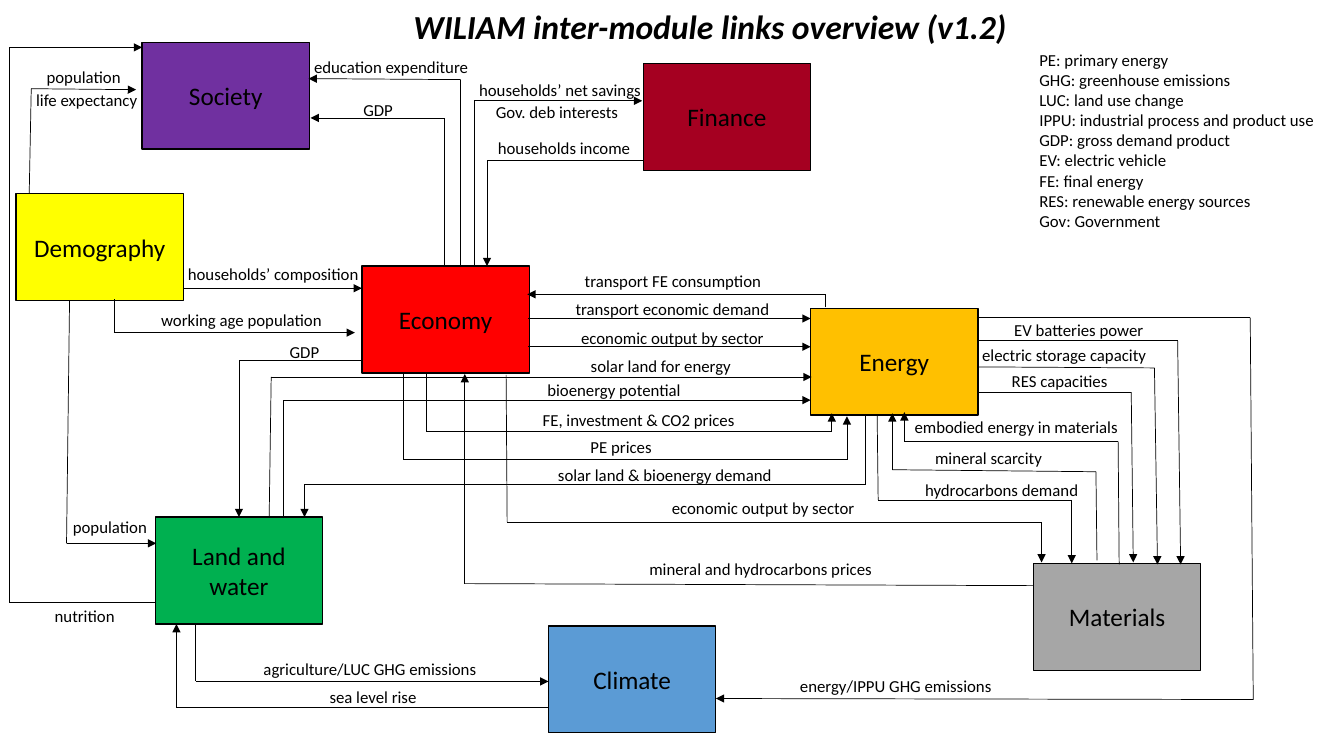
"""Build the WILIAM inter-module links overview slide."""
from dataclasses import dataclass
from itertools import pairwise

from lxml import etree
from pptx import Presentation
from pptx.dml.color import RGBColor
from pptx.enum.shapes import MSO_CONNECTOR, MSO_SHAPE
from pptx.enum.text import MSO_ANCHOR, MSO_AUTO_SIZE, PP_ALIGN
from pptx.oxml.ns import qn
from pptx.util import Inches, Pt

STRAIGHT, RECTANGLE = MSO_CONNECTOR.STRAIGHT, MSO_SHAPE.RECTANGLE
LEFT, CENTER = PP_ALIGN.LEFT, PP_ALIGN.CENTER
TOP, MIDDLE = MSO_ANCHOR.TOP, MSO_ANCHOR.MIDDLE
FIXED = MSO_AUTO_SIZE.NONE

FONT = "Calibri"
MODULE_WIDTH, MODULE_HEIGHT, LABEL_HEIGHT = 1.66, 1.06, 0.3
COLORS = {
    "ink": "000000", "yellow": "FFFF00", "red": "FF0000", "crimson": "A50021",
    "amber": "FFC000", "gray": "A6A6A6", "blue": "5B9BD5", "green": "00B050",
    "purple": "7030A0",
}


@dataclass(frozen=True)
class Module:
    """A coloured module box."""
    name: str
    left: float
    top: float
    color: str


@dataclass(frozen=True)
class Label:
    """A one-line caption beside a link."""
    text: str
    left: float
    top: float
    width: float


@dataclass(frozen=True)
class Link:
    """A route of straight segments ending in an arrowhead, with captions."""
    points: tuple[tuple[float, float], ...]
    labels: tuple[Label, ...]


def link(points: list[tuple[float, float]], *labels: tuple[str, float, float, float]) -> Link:
    """Make a link from its corner points and caption values."""
    return Link(tuple(points), tuple(Label(*label) for label in labels))


MODULES = [
    Module("Demography", 0.16, 1.92, "yellow"),
    Module("Economy", 3.59, 2.64, "red"),
    Module("Finance", 6.38, 0.63, "crimson"),
    Module("Energy", 8.04, 3.06, "amber"),
    Module("Materials", 10.25, 5.59, "gray"),
    Module("Climate", 5.44, 6.21, "blue"),
    Module("Land and water", 1.54, 5.13, "green"),
    Module("Society", 1.41, 0.42, "purple"),
]

DEMOGRAPHY_LINKS = [
    link([(0.29, 1.92), (0.31, 0.88), (1.35, 0.89)],
         ("population", 0.36, 0.61, 0.94), ("life expectancy", 0.25, 0.84, 1.22)),
    link([(1.82, 2.86), (3.59, 2.86)], ("households’ composition", 1.75, 2.57, 1.92)),
    link([(1.13, 2.97), (1.13, 3.3), (3.52, 3.3)], ("working age population", 1.49, 3.02, 1.81)),
    link([(0.69, 2.98), (0.66, 5.39), (1.55, 5.39)], ("population", 0.62, 5.08, 0.94)),
]
ECONOMY_LINKS = [
    link([(4.57, 2.64), (4.57, 0.79), (3.06, 0.78)], ("education expenditure", 2.81, 0.51, 2.14)),
    link([(4.41, 2.64), (4.41, 1.17), (3.08, 1.17)], ("GDP", 3.5, 0.94, 0.5)),
    link([(4.7, 2.64), (4.7, 1), (6.37, 1)],
         ("households’ net savings", 4.64, 0.74, 1.83), ("Gov. deb interests", 4.81, 0.96, 1.43)),
    link([(3.59, 3.58), (2.37, 3.58), (2.37, 5.13)], ("GDP", 2.77, 3.34, 0.5)),
    link([(5.24, 3.16), (8.04, 3.16)], ("transport economic demand", 5.59, 2.91, 2.16)),
    link([(5.24, 3.44), (8.04, 3.44)], ("economic output by sector", 5.65, 3.2, 2.04)),
    link([(4.23, 3.7), (4.23, 4.28), (8.25, 4.28), (8.25, 4.1)],
         ("FE, investment & CO2 prices", 5.27, 4.02, 2.13)),
    link([(4, 3.7), (4, 4.56), (8.4, 4.56), (8.4, 4.13)], ("PE prices", 5.75, 4.28, 0.82)),
    link([(5.02, 3.72), (5.03, 5.18), (10.33, 5.18), (10.33, 5.58)],
         ("economic output by sector", 6.55, 4.89, 2.04)),
]
ENERGY_LINKS = [
    link([(8.19, 3.05), (8.19, 2.92), (5.23, 2.92)], ("transport FE consumption", 5.69, 2.64, 1.97)),
    link([(8.58, 4.13), (8.58, 4.81), (3.02, 4.81), (3.02, 5.13)],
         ("solar land & bioenergy demand", 5.42, 4.56, 2.35)),
    link([(9.69, 3.15), (12.4, 3.15), (12.43, 6.94), (7.1, 6.93)],
         ("energy/IPPU GHG emissions", 7.78, 6.65, 2.21)),
    link([(9.7, 3.38), (11.68, 3.38), (11.71, 5.6)], ("EV batteries power", 9.95, 3.12, 1.5)),
    link([(9.7, 3.64), (11.45, 3.65), (11.48, 5.6)],
         ("electric storage capacity", 9.63, 3.37, 1.85)),
    link([(9.7, 3.89), (11.22, 3.89), (11.24, 5.58)], ("RES capacities", 9.93, 3.63, 1.16)),
    link([(8.7, 4.11), (8.71, 4.96), (10.63, 4.96), (10.63, 5.59)],
         ("hydrocarbons demand", 9.07, 4.71, 1.73)),
]
MATERIALS_LINKS = [
    link([(10.88, 5.56), (10.87, 4.68), (8.85, 4.66), (8.85, 4.1)],
         ("mineral scarcity", 9.17, 4.39, 1.27)),
    link([(11.1, 5.6), (11.09, 4.38), (8.97, 4.38), (8.97, 4.09)],
         ("embodied energy in materials", 8.96, 4.09, 2.24)),
    link([(10.25, 5.81), (4.61, 5.79), (4.61, 3.71)],
         ("mineral and hydrocarbons prices", 6.33, 5.49, 2.43)),
]
LAND_LINKS = [
    link([(2.67, 5.13), (2.69, 3.74), (8.05, 3.74)], ("solar land for energy", 5.75, 3.48, 1.61)),
    link([(2.81, 5.12), (2.81, 3.97), (8.04, 3.97)], ("bioenergy potential", 5.32, 3.72, 1.54)),
    link([(1.94, 6.2), (1.94, 6.76), (5.44, 6.76)],
         ("agriculture/LUC GHG emissions", 2.5, 6.49, 2.34)),
    link([(1.55, 5.98), (0.09, 5.98), (0.09, 0.47), (1.41, 0.47)], ("nutrition", 0.44, 5.96, 0.8)),
]
OTHER_LINKS = [
    link([(6.38, 1.59), (4.83, 1.59), (4.83, 2.64)], ("households income", 4.83, 1.32, 1.53)),
    link([(5.44, 7.02), (1.75, 7.02), (1.75, 6.19)], ("sea level rise", 3.16, 6.76, 1.08)),
]
LINKS = (DEMOGRAPHY_LINKS + ECONOMY_LINKS + ENERGY_LINKS
         + MATERIALS_LINKS + LAND_LINKS + OTHER_LINKS)

ABBREVIATIONS = [
    "PE: primary energy", "GHG: greenhouse emissions", "LUC: land use change",
    "IPPU: industrial process and product use", "GDP: gross demand product",
    "EV: electric vehicle", "FE: final energy", "RES: renewable energy sources",
    "Gov: Government",
]


def rgb(name: str) -> RGBColor:
    """Look up a colour by name."""
    return RGBColor.from_string(COLORS[name])


def write(shape, *lines: str, size: float = 12, align=LEFT, anchor=TOP,
          wrap: bool = False, bold: bool = False, italic: bool = False) -> None:
    """Fill a shape with formatted paragraphs."""
    frame = shape.text_frame
    frame.auto_size, frame.word_wrap, frame.vertical_anchor = FIXED, wrap, anchor
    for index, line in enumerate(lines):
        para = frame.add_paragraph() if index else frame.paragraphs[0]
        para.alignment = align
        span = para.add_run()
        span.text = line
        font = span.font
        font.name, font.size, font.bold, font.italic = FONT, Pt(size), bold, italic
        font.color.rgb = rgb("ink")


def draw_module(page, module: Module) -> None:
    """Draw one module box."""
    box = page.shapes.add_shape(RECTANGLE, Inches(module.left), Inches(module.top),
                                Inches(MODULE_WIDTH), Inches(MODULE_HEIGHT))
    box.shadow.inherit = False
    box.fill.solid()
    box.fill.fore_color.rgb = rgb(module.color)
    box.line.color.rgb = rgb("ink")
    box.line.width = Pt(1)
    write(box, module.name, size=18, align=CENTER, anchor=MIDDLE, wrap=True)


def draw_link(page, route: Link) -> None:
    """Draw the segments, arrowhead and captions of one link."""
    for start, end in pairwise(route.points):
        segment = page.shapes.add_connector(STRAIGHT, *map(Inches, start + end))
        segment.line.color.rgb = rgb("ink")
        segment.line.width = Pt(0.5)
        etree.SubElement(segment.element.spPr, qn("a:effectLst"))
    etree.SubElement(segment.line._get_or_add_ln(), qn("a:tailEnd"), type="triangle")
    for label in route.labels:
        box = page.shapes.add_textbox(Inches(label.left), Inches(label.top),
                                      Inches(label.width), Inches(LABEL_HEIGHT))
        write(box, label.text, align=CENTER)


deck = Presentation()
deck.slide_width, deck.slide_height = Inches(13.33), Inches(7.5)
page = deck.slides.add_slide(deck.slide_layouts[5])
title = page.shapes.title
title.left, title.top, title.width, title.height = map(Inches, (4, 0.01, 6.14, 0.5))
write(title, "WILIAM inter-module links overview (v1.2)", size=24, bold=True, italic=True)
for item in MODULES:
    draw_module(page, item)
for item in LINKS:
    draw_link(page, item)
legend = page.shapes.add_textbox(Inches(10.21), Inches(0.44), Inches(3.01), Inches(1.92))
write(legend, *ABBREVIATIONS, wrap=True)
deck.save("out.pptx")
